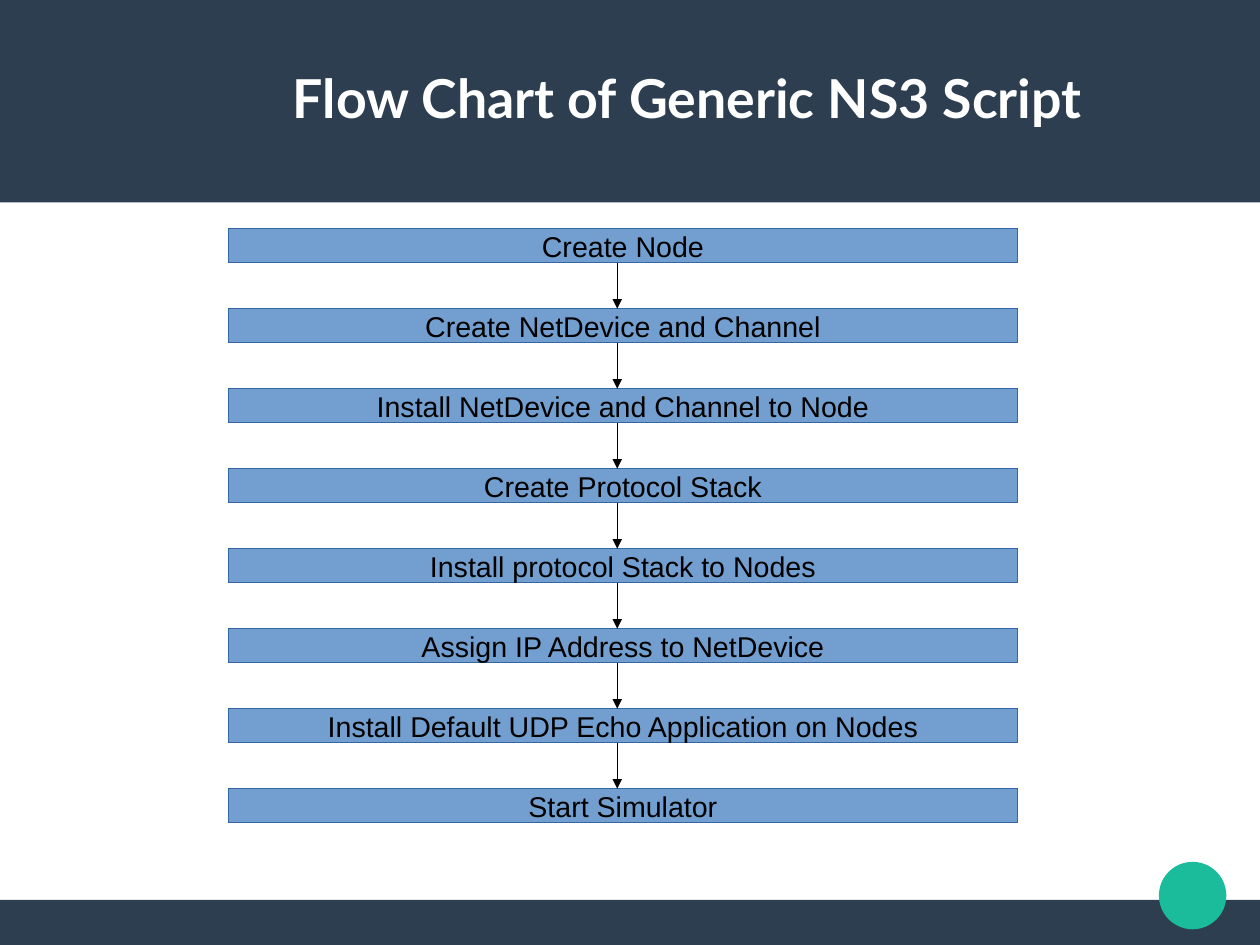
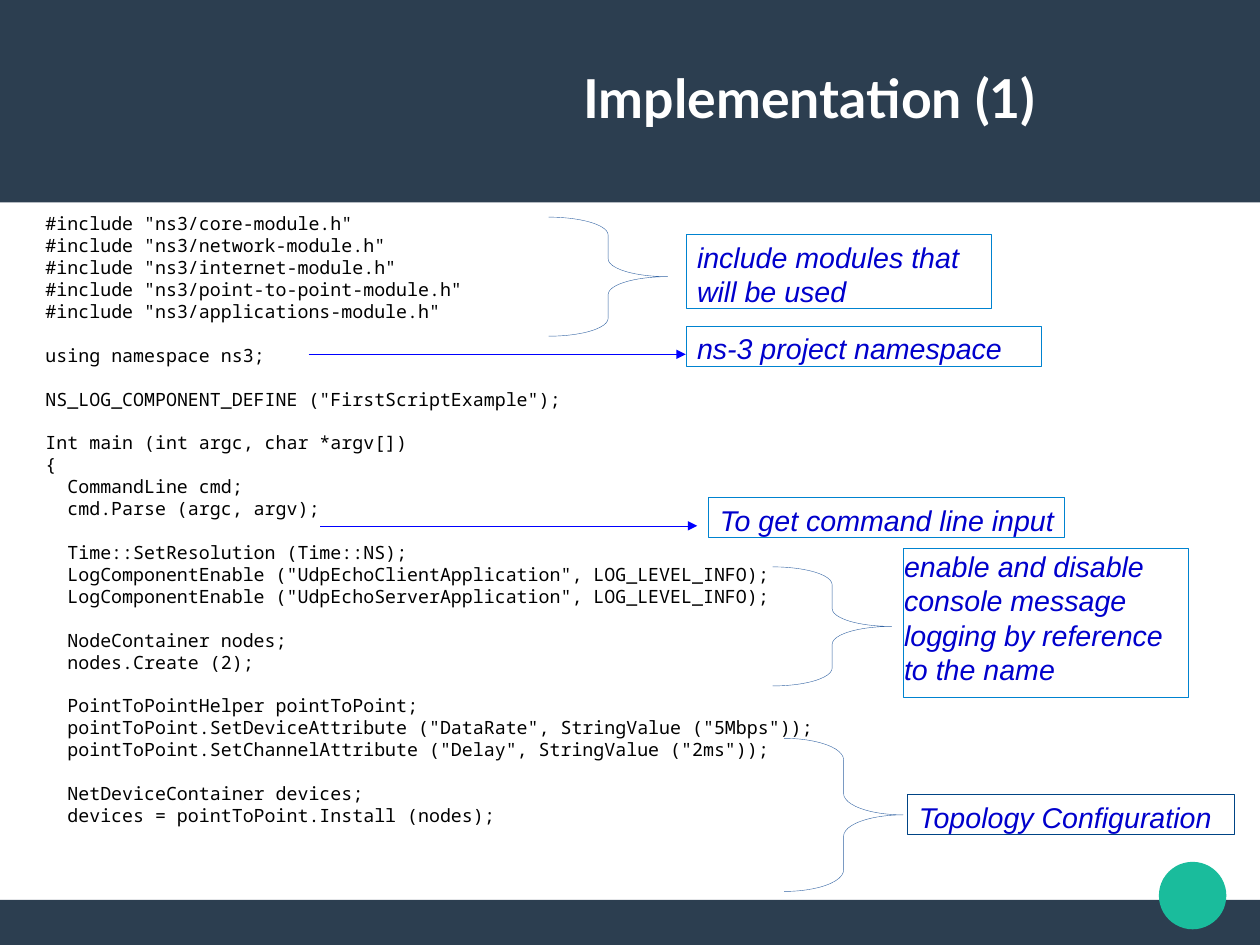
from lxml import etree
from pptx import Presentation
from pptx.dml.color import RGBColor
from pptx.enum.shapes import MSO_CONNECTOR, MSO_SHAPE
from pptx.enum.text import MSO_ANCHOR, PP_ALIGN
from pptx.oxml.ns import qn
from pptx.util import Pt

RECT, OVAL, BRACE = MSO_SHAPE.RECTANGLE, MSO_SHAPE.OVAL, MSO_SHAPE.RIGHT_BRACE
STRAIGHT = MSO_CONNECTOR.STRAIGHT
TOP, MIDDLE = MSO_ANCHOR.TOP, MSO_ANCHOR.MIDDLE
LEFT, CENTER = PP_ALIGN.LEFT, PP_ALIGN.CENTER

NAVY = RGBColor(0x2C, 0x3E, 0x50)
TEAL = RGBColor(0x1A, 0xBC, 0x9C)
WHITE = RGBColor(0xFF, 0xFF, 0xFF)
BLACK = RGBColor(0, 0, 0)
STEEL = RGBColor(0x72, 0x9F, 0xCF)
EDGE = RGBColor(0x34, 0x65, 0xA4)
SKY = RGBColor(0x00, 0x83, 0xD0)
DEEP = RGBColor(0x00, 0x44, 0x85)
BLUE = RGBColor(0, 0, 0xFF)
INK = RGBColor(0, 0, 0xCC)

WIDE, HIGH = 793.7, 595.28
HEAD, FOOT = 127.56, 28.35
HAIR = 0.01  # a width of 0 would fall back to the theme's line

# Flow chart content
STEPS = [
    "Create Node",
    "Create NetDevice and Channel",
    "Install NetDevice and Channel to Node",
    "Create Protocol Stack",
    "Install protocol Stack to Nodes",
    "Assign IP Address to NetDevice",
    "Install Default UDP Echo Application on Nodes",
    "Start Simulator",
]

# Code blocks: lines of (indent level, text)
CODE = [
    [(0, '#include "ns3/core-module.h"'),
     (0, '#include "ns3/network-module.h"'),
     (0, '#include "ns3/internet-module.h"'),
     (0, '#include "ns3/point-to-point-module.h"'),
     (0, '#include "ns3/applications-module.h"')],
    [(0, "using namespace ns3;")],
    [(0, 'NS_LOG_COMPONENT_DEFINE ("FirstScriptExample");')],
    [(0, "Int main (int argc, char *argv[])"),
     (0, "{"),
     (1, "CommandLine cmd;"),
     (1, "cmd.Parse (argc, argv);")],
    [(1, "Time::SetResolution (Time::NS);"),
     (1, 'LogComponentEnable ("UdpEchoClientApplication", LOG_LEVEL_INFO);'),
     (1, 'LogComponentEnable ("UdpEchoServerApplication", LOG_LEVEL_INFO);')],
    [(1, "NodeContainer nodes;"),
     (1, "nodes.Create (2);")],
    [(1, "PointToPointHelper pointToPoint;"),
     (1, 'pointToPoint.SetDeviceAttribute ("DataRate", StringValue ("5Mbps"));'),
     (1, 'pointToPoint.SetChannelAttribute ("Delay", StringValue ("2ms"));')],
    [(1, "NetDeviceContainer devices;"),
     (1, "devices = pointToPoint.Install (nodes);")],
]

# Callouts: text, box, left and top inset, line colour
NOTES = [
    ("include modules that will be used", (432, 147.6, 192.2, 46.8), (7.2, 3.4), SKY),
    ("ns-3 project namespace", (432, 205.2, 224, 25.2), (7.2, 3.4), SKY),
    ("To get command line input", (446.4, 313.2, 224, 25.2), (7.2, 3.4), SKY),
    ("enable and disable console message logging by reference to the name",
     (568.8, 345.6, 180, 93.6), (0.7, 0.3), SKY),
    ("Topology Configuration", (571.7, 500.4, 206, 25.2), (7.2, 3.4), DEEP),
]
# Braces: box, curve depth
BRACES = [
    ((345.6, 136.8, 75, 75), 0.15),
    ((486.7, 357.1, 75, 75), 0.15),
    ((493.9, 465.1, 75, 96.5), 0.18),
]
# Pointers: start x, end x, y
POINTERS = [(194.4, 432, 223.2), (201.6, 439.2, 331.2)]


def add_shape(slide, kind, box, fill=None, line=None, width=0.25):
    shape = slide.shapes.add_shape(kind, *map(Pt, box))
    shape.shadow.inherit = False
    if fill is None:
        shape.fill.background()
    else:
        shape.fill.solid()
        shape.fill.fore_color.rgb = fill
    if line is None:
        shape.line.fill.background()
    else:
        shape.line.color.rgb = line
        shape.line.width = Pt(width)
    return shape


def set_frame(shape, anchor=TOP, left=0, top=0, wrap=True):
    frame = shape.text_frame
    frame.word_wrap = wrap
    frame.vertical_anchor = anchor
    frame.margin_left, frame.margin_top = Pt(left), Pt(top)
    frame.margin_right = frame.margin_bottom = 0
    return frame


def add_run(para, text, font, size, color, bold=False, italic=False, align=LEFT):
    para.alignment = align
    run = para.add_run()
    run.text = text
    run.font.name, run.font.size = font, Pt(size)
    run.font.bold, run.font.italic = bold, italic
    run.font.color.rgb = color


def add_arrow(slide, start, end, color):
    arrow = slide.shapes.add_connector(STRAIGHT, *map(Pt, start + end))
    arrow.line.color.rgb = color
    arrow.line.width = Pt(HAIR)
    etree.SubElement(arrow.line._get_or_add_ln(), qn("a:tailEnd"), type="triangle")
    etree.SubElement(arrow._element.spPr, qn("a:effectLst"))


def add_slide(deck, title, left):
    """Add a slide with the shared bands, dot and title."""
    slide = deck.slides.add_slide(deck.slide_layouts[6])
    add_shape(slide, RECT, (0, HIGH - FOOT, WIDE, FOOT), NAVY)
    add_shape(slide, RECT, (0, 0, WIDE, HEAD), NAVY)
    add_shape(slide, OVAL, (730, 542.9, 42.5, 42.5), TEAL)
    box = slide.shapes.add_textbox(Pt(left), Pt(23.2), Pt(765 - left), Pt(75.6))
    frame = set_frame(box, MIDDLE)
    add_run(frame.paragraphs[0], title, "Lato", 33.8, WHITE, bold=True)
    return slide


def draw_flow(slide):
    left, top, width, height, pitch, mid = 144, 144, 496.8, 21.6, 50.4, 388.8
    for i, step in enumerate(STEPS):
        y = top + i * pitch
        box = add_shape(slide, RECT, (left, y, width, height), STEEL, EDGE, HAIR)
        frame = set_frame(box, MIDDLE, wrap=False)
        add_run(frame.paragraphs[0], step, "Arial", 18, BLACK, align=CENTER)
        if i:
            add_arrow(slide, (mid, y - pitch + height), (mid, y), BLACK)


def draw_code(slide):
    step, gap = 13.8, 13.8
    box = slide.shapes.add_textbox(Pt(21.6), Pt(130.3), Pt(619.2), Pt(452.9))
    frame = set_frame(box, left=7.2, top=3.6)
    para = frame.paragraphs[0]
    for b, block in enumerate(CODE):
        for i, (level, text) in enumerate(block):
            if b or i:
                para = frame.add_paragraph()
            if b and not i:
                para.space_before = Pt(gap)
            para._p.get_or_add_pPr().set("marL", str(Pt(level * step)))
            add_run(para, text, "Noto Sans Mono", 11.5, BLACK)


def draw_notes(slide):
    for box, depth in BRACES:
        brace = add_shape(slide, BRACE, box, line=EDGE)
        brace.adjustments[0] = depth
    for text, box, (left, top), color in NOTES:
        frame = set_frame(add_shape(slide, RECT, box, line=color), left=left, top=top)
        add_run(frame.paragraphs[0], text, "Arial", 18, INK, italic=True)
    for start, end, y in POINTERS:
        add_arrow(slide, (start, y), (end, y), BLUE)


def main():
    deck = Presentation()
    deck.slide_width, deck.slide_height = Pt(WIDE), Pt(HIGH)
    draw_flow(add_slide(deck, "Flow Chart of Generic NS3 Script", 184.5))
    slide = add_slide(deck, "Implementation (1)", 367.5)
    draw_code(slide)
    draw_notes(slide)
    deck.save("out.pptx")


if __name__ == "__main__":
    main()
